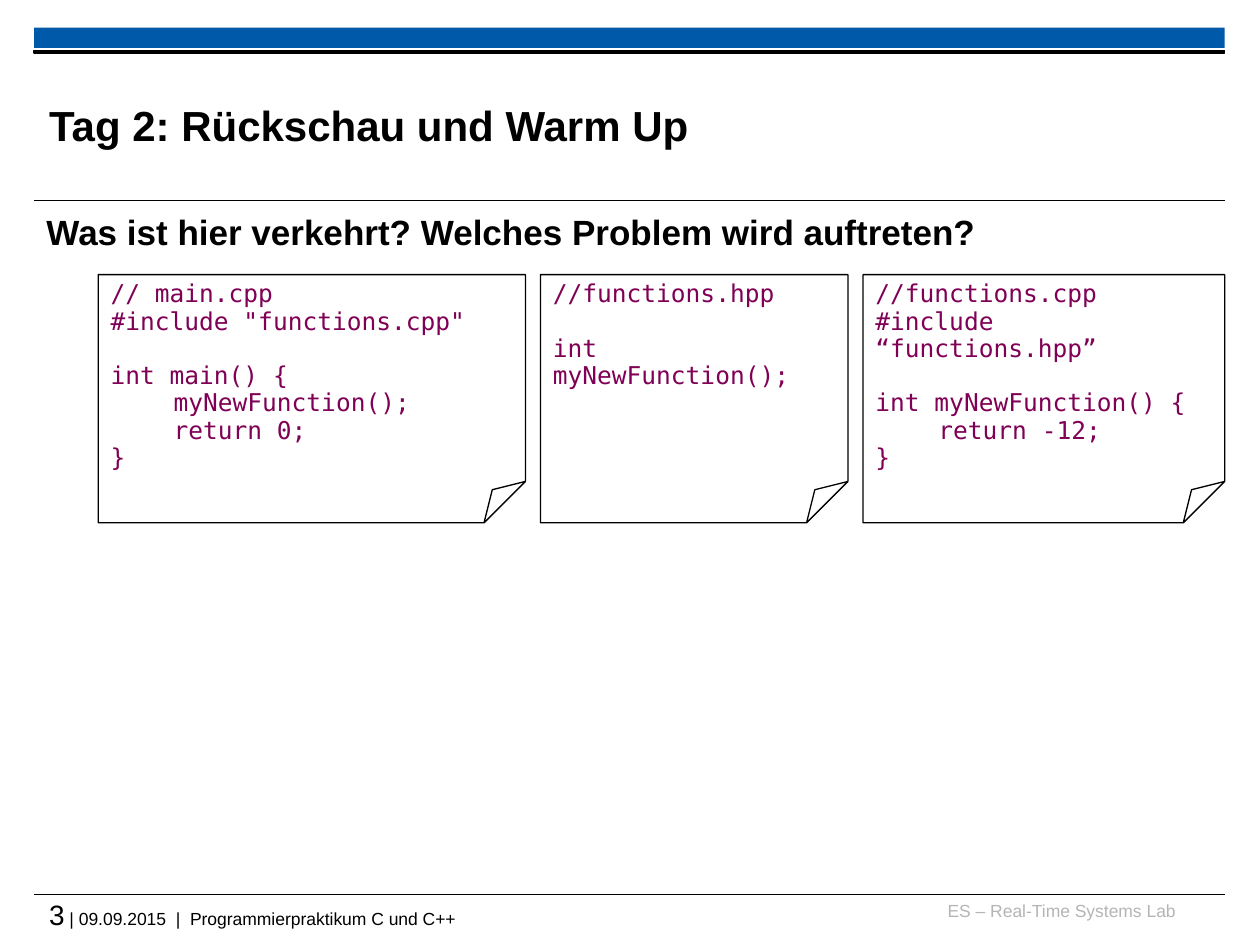
import pptx
import pptx.dml.color
import pptx.enum.shapes
import pptx.enum.text
import pptx.oxml.ns
import pptx.util
import lxml.etree

Inches, Pt = pptx.util.Inches, pptx.util.Pt
SHAPE = pptx.enum.shapes.MSO_SHAPE
ALIGN = pptx.enum.text.PP_ALIGN
ANCHOR = pptx.enum.text.MSO_ANCHOR
COLORS = {"black": "000000", "blue": "005AA9", "gray": "B5B5B5", "code": "7F0055"}


def rgb(name):
    """Return the named colour."""
    return pptx.dml.color.RGBColor.from_string(COLORS[name])


class Deck:
    """Holds the style and the current slide."""

    body_font, code_font = "Arial", "DejaVu Sans Mono"
    code_size, code_spacing, blank_line = 14, 0.93, 15.6

    def __init__(self):
        """Start a presentation with one title-only slide."""
        self.prs = pptx.Presentation()
        self.prs.slide_width, self.prs.slide_height = Inches(10), Inches(7.5)
        self.s = self.prs.slides.add_slide(self.prs.slide_layouts[5])

    def run(self, p, text, size, color="black", bold=False, font=None):
        """Append a formatted run to a paragraph."""
        r = p.add_run()
        r.text = text
        r.font.size, r.font.bold = Pt(size), bold
        r.font.name = font or self.body_font
        r.font.color.rgb = rgb(color)

    def frame(self, sp, inset, anchor=ANCHOR.TOP):
        """Set wrapping, anchor and insets, and return the text frame."""
        tf = sp.text_frame
        tf.word_wrap, tf.vertical_anchor = True, anchor
        tf.margin_left = tf.margin_right = Inches(0.1 if inset else 0)
        tf.margin_top = tf.margin_bottom = Inches(0.05 if inset else 0)
        return tf

    def title(self, text, x, y, w, h):
        """Place and fill the title placeholder."""
        sp = self.s.shapes.title
        sp.left, sp.top, sp.width, sp.height = map(Inches, (x, y, w, h))
        p = self.frame(sp, False, ANCHOR.MIDDLE).paragraphs[0]
        p.alignment = ALIGN.LEFT
        self.run(p, text, 24, bold=True)

    def text(self, runs, x, y, w, h, inset=False, align=ALIGN.LEFT):
        """Add a one-paragraph text box; runs are tuples for run()."""
        sp = self.s.shapes.add_textbox(*map(Inches, (x, y, w, h)))
        p = self.frame(sp, inset).paragraphs[0]
        p.alignment = align
        for args in runs:
            self.run(p, *args)

    def shape(self, kind, x, y, w, h, fill=None, line=None):
        """Add a preset shape."""
        sp = self.s.shapes.add_shape(kind, *map(Inches, (x, y, w, h)))
        sp.shadow.inherit = False
        if fill:
            sp.fill.solid()
            sp.fill.fore_color.rgb = rgb(fill)
        else:
            sp.fill.background()
        if line:
            sp.line.color.rgb = rgb(line)
            sp.line.width = Pt(0.75)
        else:
            sp.line.fill.background()
        return sp

    def rule(self, x, y, w):
        """Add a thin horizontal line."""
        c = self.s.shapes.add_connector(
            pptx.enum.shapes.MSO_CONNECTOR.STRAIGHT,
            *map(Inches, (x, y, x + w, y)))
        c.line.color.rgb = rgb("black")
        c.line.width = Pt(0.6)
        lxml.etree.SubElement(c._element.spPr, pptx.oxml.ns.qn("a:effectLst"))

    def code_note(self, x, w, blocks):
        """Add a folded note; blocks of code are parted by one line's gap."""
        sp = self.shape(SHAPE.FOLDED_CORNER, x, 2.18, w, 1.97, line="black")
        tf = self.frame(sp, True)
        p = None
        for block in blocks:
            for i, (level, text) in enumerate(block):
                first = p is None
                p = tf.paragraphs[0] if first else tf.add_paragraph()
                p.alignment = ALIGN.LEFT
                p.line_spacing = self.code_spacing
                if i == 0 and not first:
                    p.space_before = Pt(self.blank_line)
                if level:
                    p._p.get_or_add_pPr().set("marL", str(Inches(0.5 * level)))
                self.run(p, text, self.code_size, "code", font=self.code_font)


def main():
    """Build and save the slide."""
    d = Deck()
    left, width = 0.27, 9.45
    for y in (7.1, 1.59):
        d.rule(left, y, width)
    d.shape(SHAPE.RECTANGLE, left, 0.22, width, 0.16, fill="blue")
    d.shape(SHAPE.RECTANGLE, left, 0.4, width, 0.02, fill="black", line="black")
    d.text([("ES – Real-Time Systems Lab", 10, "gray")],
           7.36, 7.14, 1.97, 0.25, align=ALIGN.RIGHT)
    d.text([("3", 16), (" | 09.09.2015  |  Programmierpraktikum C und C++", 10)],
           0.39, 7.12, 9.33, 0.33)
    d.title("Tag 2: Rückschau und Warm Up", 0.39, 0.53, 7.52, 0.92)
    d.text([("Was ist hier verkehrt? Welches Problem wird auftreten?",
             20, "black", True)], left, 1.62, width, 0.55, inset=True)

    notes = [
        (3.39, [[(0, "// main.cpp"), (0, '#include "functions.cpp"')],
                [(0, "int main() {"), (1, "myNewFunction();"),
                 (1, "return 0;"), (0, "}")]]),
        (2.44, [[(0, "//functions.hpp")], [(0, "int myNewFunction();")]]),
        (2.87, [[(0, "//functions.cpp"), (0, "#include “functions.hpp”")],
                [(0, "int myNewFunction() {"), (1, "return -12;"), (0, "}")]]),
    ]
    x, gap = 0.78, 0.12
    for w, blocks in notes:
        d.code_note(x, w, blocks)
        x += w + gap
    d.prs.save("out.pptx")


main()
